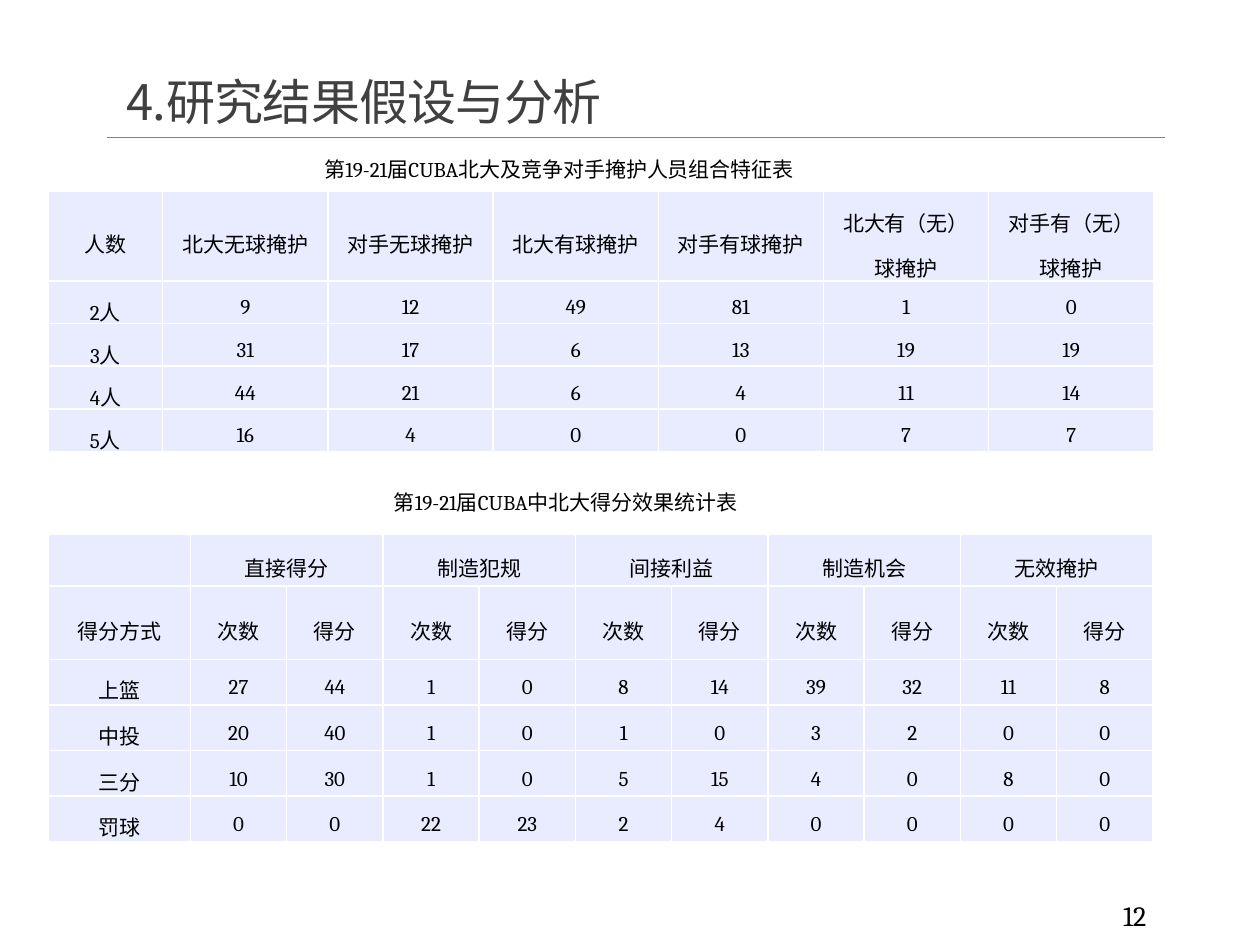
import pptx
import pptx.dml.color
import pptx.enum.shapes
import pptx.enum.text
import pptx.oxml
import pptx.oxml.ns
import pptx.util
from pptx.util import Cm

colors = {"title": "404040", "text": "000000", "rule": "808080", "cell": "E9ECFF", "border": "FFFFFF"}
align = pptx.enum.text.PP_ALIGN
anchor = pptx.enum.text.MSO_ANCHOR


def format_run(run, size, font_name, color):
    run.font.size = pptx.util.Pt(size)
    run.font.name = font_name
    run.font.color.rgb = pptx.dml.color.RGBColor.from_string(colors[color])


def add_text(left, top, width, height, parts, size, color, vertical, wrap=True):
    shape = slide.shapes.add_textbox(Cm(left), Cm(top), Cm(width), Cm(height))
    frame = shape.text_frame
    frame.word_wrap = wrap
    frame.vertical_anchor = vertical
    for text, font_name in parts:
        run = frame.paragraphs[0].add_run()
        run.text = text
        format_run(run, size, font_name, color)
    return frame


presentation = pptx.Presentation()
presentation.slide_width = Cm(25.4)
presentation.slide_height = Cm(19.05)
slide = presentation.slides.add_slide(presentation.slide_layouts[6])

rule = slide.shapes.add_connector(
    pptx.enum.shapes.MSO_CONNECTOR.STRAIGHT, Cm(2.16), Cm(2.77), Cm(23.49), Cm(2.77))
rule.line.color.rgb = pptx.dml.color.RGBColor.from_string(colors["rule"])
rule.line.width = pptx.util.Pt(0.5)
rule._element.spPr.append(pptx.oxml.parse_xml(f'<a:effectLst {pptx.oxml.ns.nsdecls("a")}/>'))

title = add_text(2.3, 0.79, 20.96, 1.96, [("4.研究结果假设与分析", "Noto Sans CJK SC")],
                 28, "title", anchor.BOTTOM)
title.paragraphs[0].line_spacing = 0.85
title_properties = title.paragraphs[0].runs[0]._r.get_or_add_rPr()
title_properties.set("spc", "-40")
title_properties.append(pptx.oxml.parse_xml(
    f'<a:ea {pptx.oxml.ns.nsdecls("a")} typeface="Noto Sans CJK SC"/>'))

captions = [
    (5.45, 3.03, 11.61, 1.09, False, "北大及竞争对手掩护人员组合特征表"),
    (7.69, 9.74, 8.08, 0.25, True, "中北大得分效果统计表"),
]
for left, top, width, margin, wrap, ending in captions:
    parts = [("第", "Times New Roman"), ("19-21", "Cambria"), ("届", "Times New Roman"),
             ("CUBA", "Cambria"), (ending, "Times New Roman")]
    caption = add_text(left, top, width, 1.55, parts, 12, "text", anchor.TOP, wrap)
    caption.margin_left = Cm(margin)

screen_rows = [
    ["人数", "北大无球掩护", "对手无球掩护", "北大有球掩护", "对手有球掩护", "北大有（无）球掩护", "对手有（无）球掩护"],
    ["2人", 9, 12, 49, 81, 1, 0],
    ["3人", 31, 17, 6, 13, 19, 19],
    ["4人", 44, 21, 6, 4, 11, 14],
    ["5人", 16, 4, 0, 0, 7, 7],
]
score_rows = [
    ["", "直接得分", "", "制造犯规", "", "间接利益", "", "制造机会", "", "无效掩护", ""],
    ["得分方式"] + ["次数", "得分"] * 5,
    ["上篮", 27, 44, 1, 0, 8, 14, 39, 32, 11, 8],
    ["中投", 20, 40, 1, 0, 1, 0, 3, 2, 0, 0],
    ["三分", 10, 30, 1, 0, 5, 15, 4, 0, 8, 0],
    ["罚球", 0, 0, 22, 23, 2, 4, 0, 0, 0, 0],
]
tables = [
    (3.86, screen_rows, [2.31] + [3.33] * 6, [1.8] + [0.86] * 4, []),
    (10.76, score_rows, [2.87] + [1.94] * 10, [1.05, 1.48] + [0.92] * 4, range(1, 11, 2)),
]
for top, rows, widths, heights, merged_columns in tables:
    table = slide.shapes.add_table(len(rows), len(widths), Cm(0.97), Cm(top),
                                   Cm(sum(widths)), Cm(sum(heights))).table
    table.first_row = False
    table.horz_banding = False
    for column, width in zip(table.columns, widths):
        column.width = Cm(width)
    for row, height, values in zip(table.rows, heights, rows):
        row.height = Cm(height)
        for cell, value in zip(row.cells, values):
            cell.margin_left = cell.margin_right = Cm(0.19)
            cell.margin_top = cell.margin_bottom = 0
            cell.vertical_anchor = anchor.MIDDLE
            cell.text_frame.text = str(value)
            paragraph = cell.text_frame.paragraphs[0]
            paragraph.alignment = align.CENTER
            paragraph.line_spacing = 1.5
            paragraph.font.size = pptx.util.Pt(12)
            for run in paragraph.runs:
                format_run(run, 12, "Cambria", "text")
            properties = cell._tc.get_or_add_tcPr()
            for side in ("lnL", "lnR", "lnT", "lnB"):
                properties.append(pptx.oxml.parse_xml(
                    f'<a:{side} {pptx.oxml.ns.nsdecls("a")} w="12700"><a:solidFill>'
                    f'<a:srgbClr val="{colors["border"]}"/></a:solidFill></a:{side}>'))
            cell.fill.solid()
            cell.fill.fore_color.rgb = pptx.dml.color.RGBColor.from_string(colors["cell"])
    for index in merged_columns:
        table.cell(0, index).merge(table.cell(0, index + 1))

number = add_text(20.62, 17.94, 2.74, 1.02, [("12", "Cambria")], 16, "text", anchor.MIDDLE)
number.paragraphs[0].alignment = align.RIGHT

presentation.save("out.pptx")
